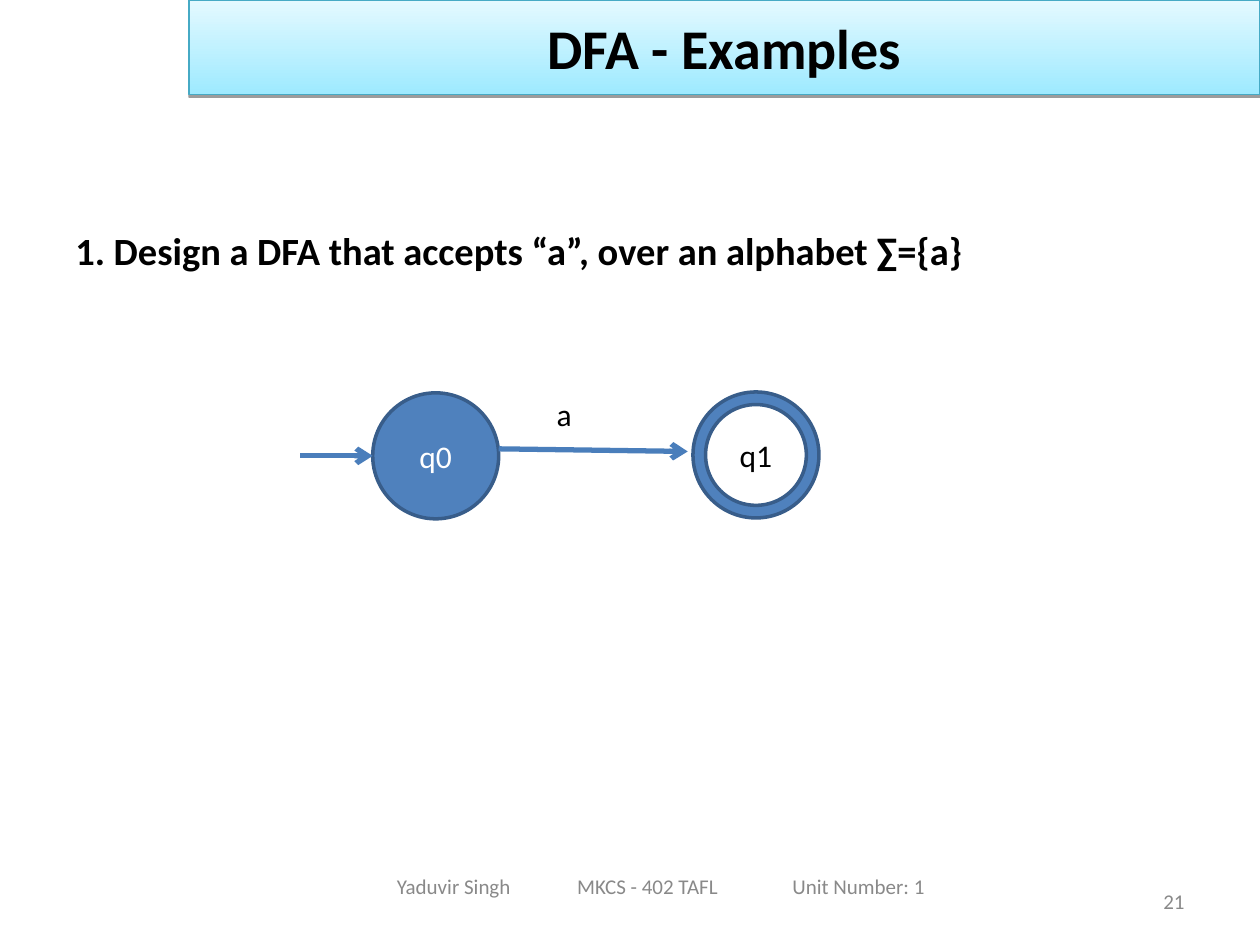
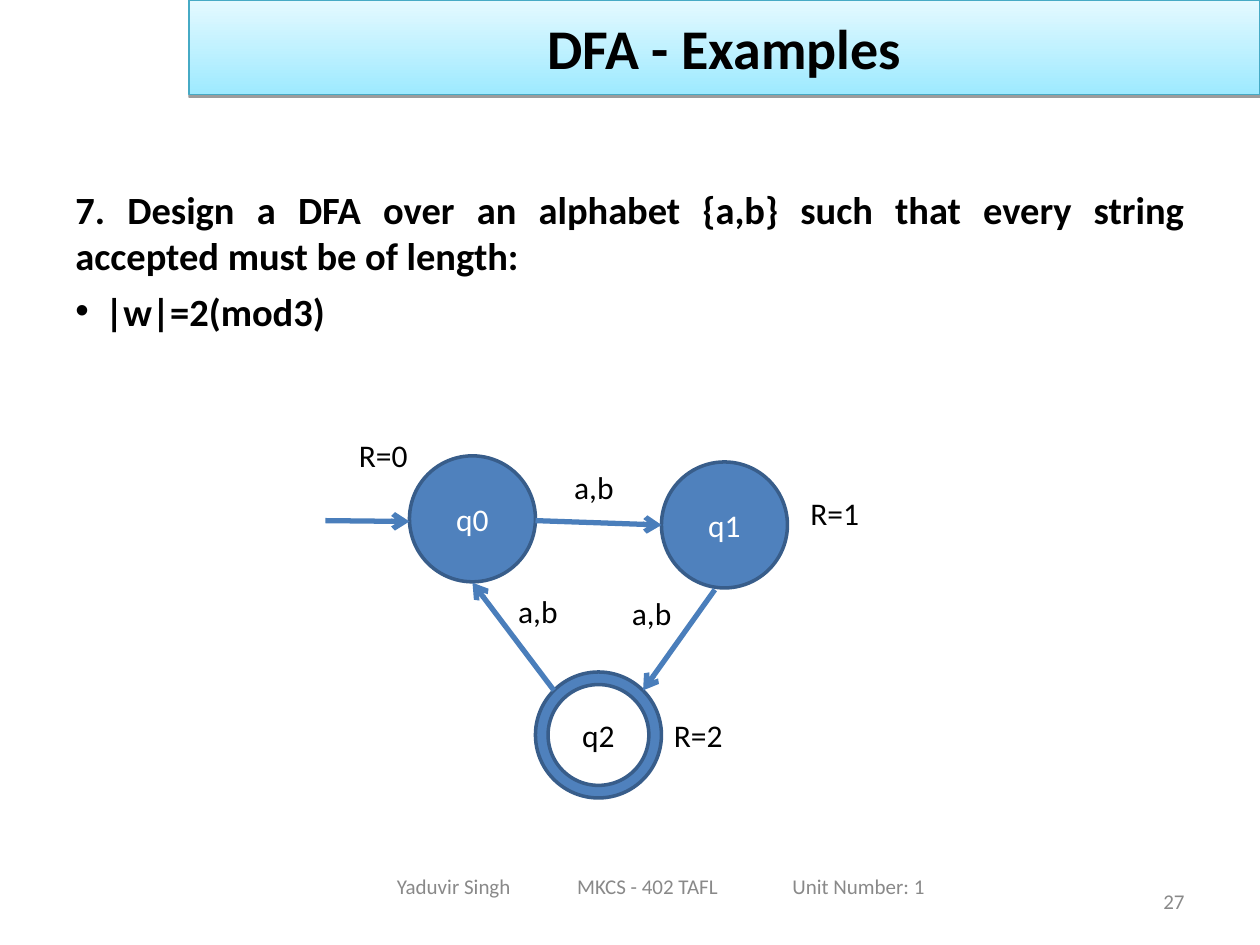
"""Build two slides of DFA design examples with state diagrams."""
from dataclasses import dataclass

import lxml.etree
import pptx
import pptx.dml.color
import pptx.enum.shapes
import pptx.enum.text
import pptx.oxml.ns
import pptx.util

Pt = pptx.util.Pt
ALIGN = pptx.enum.text.PP_ALIGN
ANCHOR = pptx.enum.text.MSO_ANCHOR
SHAPE = pptx.enum.shapes.MSO_SHAPE

TITLE = "DFA - Examples"
FOOTER = "Yaduvir Singh\tMKCS - 402 TAFL\tUnit Number: 1"

SLIDES = [
    {
        "number": "21",
        "body_top": 126,
        "align": ALIGN.LEFT,
        "question": "1. Design a DFA that accepts “a”, over an alphabet ∑={a}",
        "bullets": [],
        "states": [("q0", 213, 224.5, False), ("q1", 396, 224, True)],
        "arrows": [((171.5, 260.5), (213, 260.5)), ((285, 256.5), (393, 258))],
        "labels": [("a", 311, 222, 42)],
    },
    {
        "number": "27",
        "body_top": 102.5,
        "align": ALIGN.JUSTIFY,
        "question": "7. Design a DFA over an alphabet {a,b} such that every string "
                    "accepted must be of length:",
        "bullets": ["|w|=2(mod3)"],
        "states": [("q0", 234, 260.5, False), ("q1", 378, 264, False), ("q2", 306, 384, True)],
        "arrows": [
            ((186, 297.5), (234, 298)),
            ((306, 297.5), (378, 300)),
            ((408.5, 337), (367.5, 394.5)),
            ((316.5, 394.5), (270, 333)),
        ],
        "labels": [
            ("a,b", 321, 264, 42), ("a,b", 354, 336, 42), ("a,b", 289, 335, 42),
            ("R=0", 198, 245.5, 72), ("R=1", 456, 278.5, 54), ("R=2", 378, 405.5, 54),
        ],
    },
]


@dataclass(frozen=True)
class Theme:
    font: str = "Calibri"
    text: str = "000000"
    muted: str = "898989"
    white: str = "FFFFFF"
    band_low: str = "9EEAFF"
    band_high: str = "E4F9FF"
    band_line: str = "46AAC5"
    state: str = "4F81BD"
    state_line: str = "385D8A"
    arrow: str = "4A7EBB"
    title_size: float = 32
    body_size: float = 22
    label_size: float = 18
    footer_size: float = 12


THEME = Theme()
STATE_SIZE = 72
RING = 0.1
FOOTER_TABS = (103, 226)
FOOTER_INSET = 46.8
BULLET_INDENT = 17


def rgb(value):
    return pptx.dml.color.RGBColor.from_string(value)


def add_xml(parent, tag, **attributes):
    return lxml.etree.SubElement(parent, pptx.oxml.ns.qn(tag), attributes)


def style(para, size, color=THEME.text, bold=False, align=ALIGN.LEFT):
    para.alignment = align
    para.font.name = THEME.font
    para.font.size = Pt(size)
    para.font.bold = bold
    para.font.color.rgb = rgb(color)


def add_box(page, left, top, width, height, text):
    box = page.shapes.add_textbox(Pt(left), Pt(top), Pt(width), Pt(height))
    box.text_frame.word_wrap = True
    box.text_frame.text = text
    return box.text_frame


def add_band(page):
    band = page.shapes.add_shape(SHAPE.RECTANGLE, Pt(108), 0, Pt(612), Pt(54))
    band.fill.gradient()
    band.fill.gradient_angle = 90
    for stop, color in zip(band.fill.gradient_stops, (THEME.band_low, THEME.band_high)):
        stop.color.rgb = rgb(color)
    band.line.color.rgb = rgb(THEME.band_line)
    band.line.width = Pt(0.75)
    band.shadow.inherit = False
    effects = band._element.spPr.find(pptx.oxml.ns.qn("a:effectLst"))
    shadow = add_xml(effects, "a:outerShdw", blurRad="0", dist=str(Pt(1.6)),
                     dir="5400000", rotWithShape="0")
    add_xml(add_xml(shadow, "a:srgbClr", val="000000"), "a:alpha", val="38000")
    band.text_frame.text = TITLE
    band.text_frame.vertical_anchor = ANCHOR.MIDDLE
    style(band.text_frame.paragraphs[0], THEME.title_size, bold=True, align=ALIGN.CENTER)


def add_footer(page, number):
    frame = add_box(page, 180, 492, 396, 28.8, FOOTER)
    frame.margin_left = Pt(FOOTER_INSET)
    frame.vertical_anchor = ANCHOR.MIDDLE
    para = frame.paragraphs[0]
    tabs = add_xml(para._p.get_or_add_pPr(), "a:tabLst")
    for position in FOOTER_TABS:
        add_xml(tabs, "a:tab", pos=str(Pt(position)), algn="l")
    style(para, THEME.footer_size, THEME.muted)
    frame = add_box(page, 516, 500.5, 168, 28.8, number)
    frame.vertical_anchor = ANCHOR.MIDDLE
    style(frame.paragraphs[0], THEME.footer_size, THEME.muted, align=ALIGN.RIGHT)


def add_body(page, content):
    frame = add_box(page, 36, content["body_top"], 648, 356.4, content["question"])
    style(frame.paragraphs[0], THEME.body_size, bold=True, align=content["align"])
    for text in content["bullets"]:
        para = frame.add_paragraph()
        para.text = text
        properties = para._p.get_or_add_pPr()
        properties.set("marL", str(Pt(BULLET_INDENT)))
        properties.set("indent", str(-Pt(BULLET_INDENT)))
        add_xml(properties, "a:buFont", typeface="Arial")
        add_xml(properties, "a:buChar", char="•")
        para.space_before = Pt(5.5)
        style(para, THEME.body_size, bold=True, align=content["align"])


def add_state(page, name, left, top, accepting):
    kind = SHAPE.DONUT if accepting else SHAPE.OVAL
    state = page.shapes.add_shape(kind, Pt(left), Pt(top), Pt(STATE_SIZE), Pt(STATE_SIZE))
    if accepting:
        state.adjustments[0] = RING
    state.shadow.inherit = False
    state.fill.solid()
    state.fill.fore_color.rgb = rgb(THEME.state)
    state.line.color.rgb = rgb(THEME.state_line)
    state.line.width = Pt(2)
    state.text_frame.text = name
    state.text_frame.vertical_anchor = ANCHOR.MIDDLE
    color = THEME.text if accepting else THEME.white
    style(state.text_frame.paragraphs[0], THEME.label_size, color, align=ALIGN.CENTER)


def add_arrow(page, start, end):
    arrow = page.shapes.add_connector(
        pptx.enum.shapes.MSO_CONNECTOR.STRAIGHT, *(Pt(value) for value in start + end))
    arrow.line.color.rgb = rgb(THEME.arrow)
    arrow.line.width = Pt(3)
    add_xml(arrow.line._get_or_add_ln(), "a:tailEnd", type="arrow")
    add_xml(arrow._element.spPr, "a:effectLst")


def add_label(page, text, left, top, width):
    frame = add_box(page, left, top, width, 29, text)
    frame.auto_size = pptx.enum.text.MSO_AUTO_SIZE.SHAPE_TO_FIT_TEXT
    style(frame.paragraphs[0], THEME.label_size)


def main():
    deck = pptx.Presentation()
    deck.slide_width, deck.slide_height = Pt(720), Pt(540)
    for content in SLIDES:
        page = deck.slides.add_slide(deck.slide_layouts[6])
        add_body(page, content)
        add_footer(page, content["number"])
        add_band(page)
        for state in content["states"]:
            add_state(page, *state)
        for arrow in content["arrows"]:
            add_arrow(page, *arrow)
        for label in content["labels"]:
            add_label(page, *label)
    deck.save("out.pptx")


if __name__ == "__main__":
    main()
